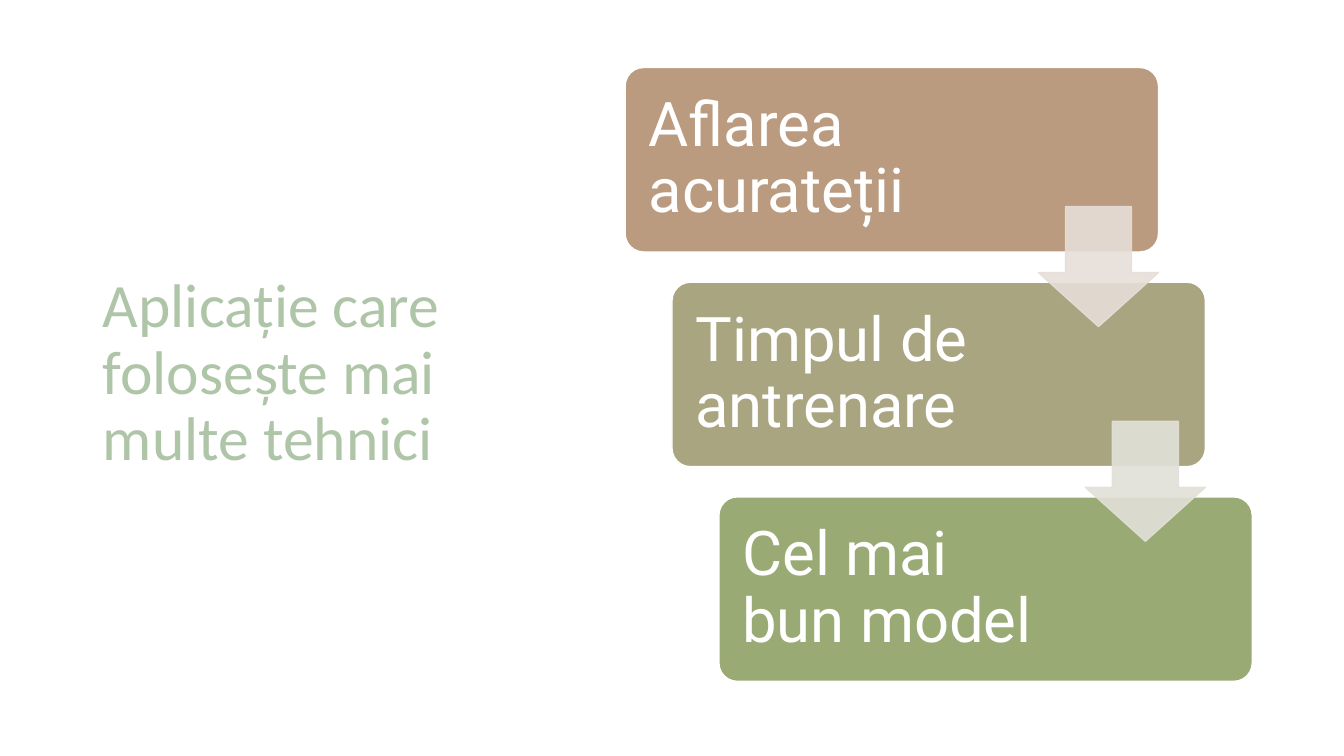
from lxml import etree
from pptx import Presentation
from pptx import util as u
from pptx.dml.color import RGBColor
from pptx.enum import shapes, text
from pptx.oxml.ns import qn

WIDTH, HEIGHT = 13.33, 7.5
STEP_LEFT, STEP_TOP = 6.2, 0.67
STEP_WIDTH, STEP_HEIGHT = 5.29, 1.83
SHIFT_X, SHIFT_Y = 0.465, 2.13
ARROW_SIZE = 1.19
ARROW_LEFT, ARROW_TOP = 10.3, 2.05
STEPS = [
    ("Aflarea acurateții", "BA9B7F"),
    ("Timpul de antrenare", "A9A580"),
    ("Cel mai bun model", "99AA74"),
]
ARROW_COLOURS = ["E7DED8", "E2E1D8"]


def paint(colour_format, hex_colour, opacity=100):
    colour_format.rgb = RGBColor.from_string(hex_colour)
    if opacity < 100:
        for node in colour_format._xFill.iter(qn("a:srgbClr")):
            etree.SubElement(node, qn("a:alpha"), val=str(opacity * 1000))


def write(frame, wording, font, colour, size=44, insets=(0.1, 0.05, 0.1, 0.05)):
    frame.word_wrap = True
    frame.auto_size = text.MSO_AUTO_SIZE.NONE
    frame.vertical_anchor = text.MSO_ANCHOR.MIDDLE
    frame.margin_left, frame.margin_top, frame.margin_right, frame.margin_bottom = map(u.Inches, insets)
    paragraph = frame.paragraphs[0]
    paragraph.alignment = text.PP_ALIGN.LEFT
    paragraph.line_spacing = 0.9
    run = paragraph.add_run()
    run.text = wording
    run.font.name = font
    run.font.size = u.Pt(size)
    paint(run.font.color, colour)


def place(slide, preset, box, adjustments, fill, line, opacity=100):
    shape = slide.shapes.add_shape(preset, *map(u.Inches, box))
    shape.shadow.inherit = False
    for index, value in enumerate(adjustments):
        shape.adjustments[index] = value
    shape.fill.solid()
    paint(shape.fill.fore_color, fill)
    shape.line.width = u.Pt(1)
    paint(shape.line.color, line)
    if opacity < 100:
        for node in shape.fill._xPr.iter(qn("a:srgbClr")):
            etree.SubElement(node, qn("a:alpha"), val=str(opacity * 1000))
    return shape


def add_title(slide, wording):
    title = slide.shapes.title
    title.left, title.top = u.Inches(0.92), u.Inches(STEP_TOP)
    title.width, title.height = u.Inches(4.86), u.Inches(6.09)
    write(title.text_frame, wording, "Calibri", "AFC5A8")


def add_step(slide, row, wording, colour):
    box = (STEP_LEFT + row * SHIFT_X, STEP_TOP + row * SHIFT_Y, STEP_WIDTH, STEP_HEIGHT)
    step = place(slide, shapes.MSO_SHAPE.ROUNDED_RECTANGLE, box, [0.1], colour, "FFFFFF")
    write(step.text_frame, wording, "Roboto", "FFFFFF", insets=(0.18, 0.18, 1.84, 0.18))


def add_arrow(slide, row, colour):
    box = (ARROW_LEFT + row * SHIFT_X, ARROW_TOP + row * SHIFT_Y, ARROW_SIZE, ARROW_SIZE)
    place(slide, shapes.MSO_SHAPE.DOWN_ARROW, box, [0.55, 0.45], colour, colour, opacity=90)


def main():
    deck = Presentation()
    deck.slide_width, deck.slide_height = u.Inches(WIDTH), u.Inches(HEIGHT)
    slide = deck.slides.add_slide(deck.slide_layouts[5])
    slide.background.fill.solid()
    paint(slide.background.fill.fore_color, "FFFFFF")
    add_title(slide, "Aplicație care folosește mai multe tehnici")
    for row, (wording, colour) in enumerate(STEPS):
        add_step(slide, row, wording, colour)
    for row, colour in enumerate(ARROW_COLOURS):
        add_arrow(slide, row, colour)
    deck.save("out.pptx")


if __name__ == "__main__":
    main()
